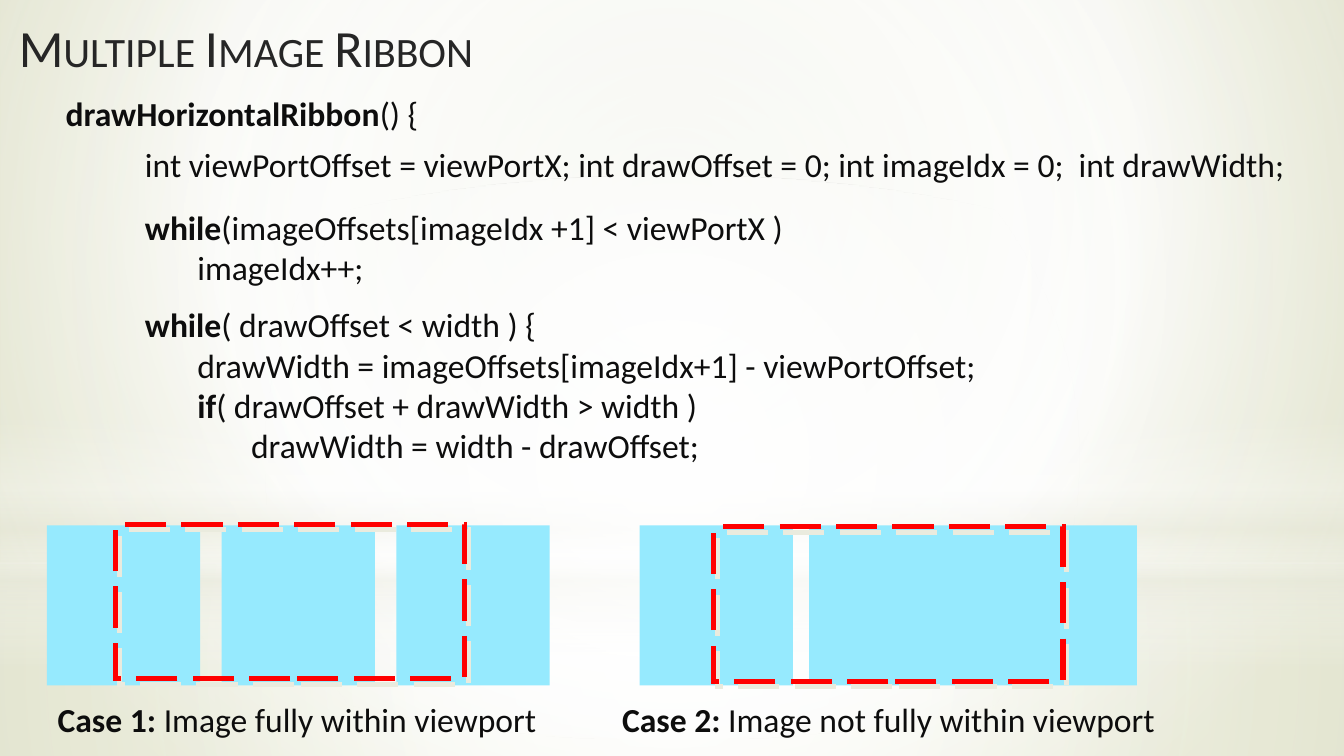
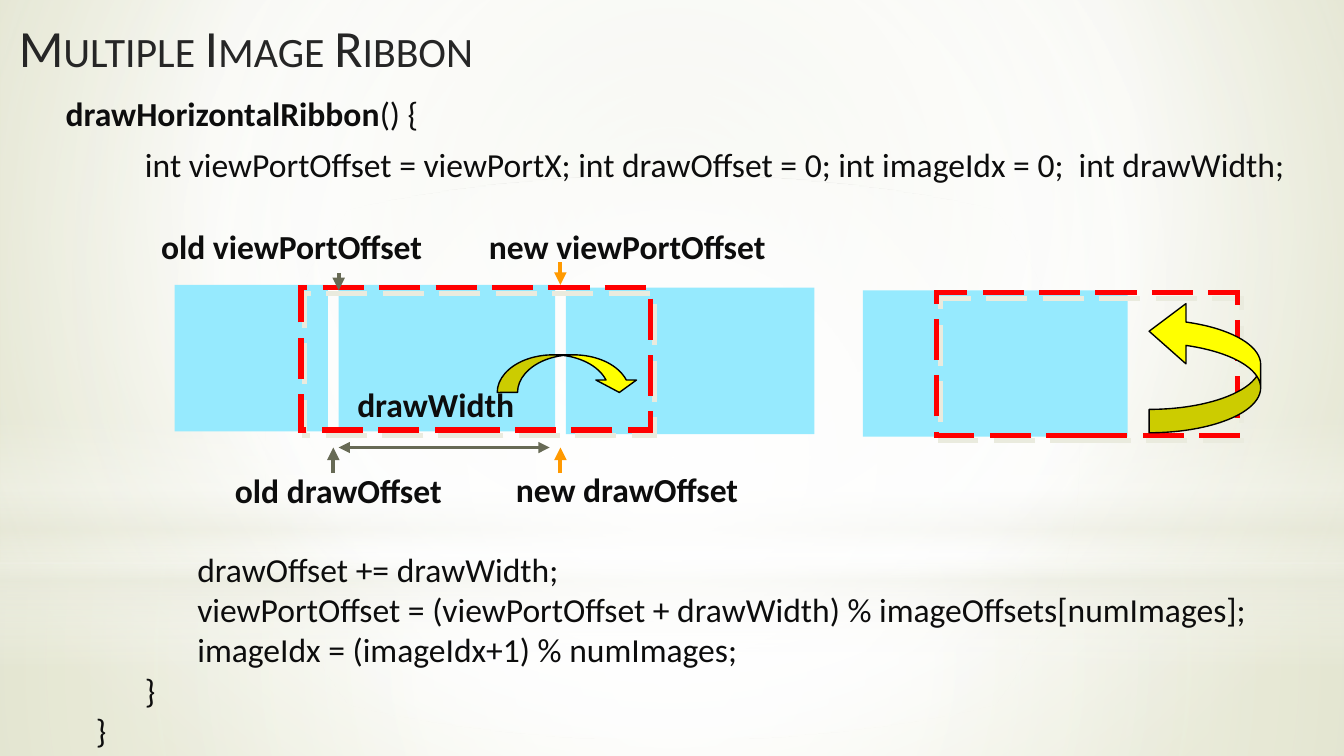
from lxml import etree
from pptx import Presentation
from pptx.dml.color import RGBColor
from pptx.enum import dml, shapes, text
from pptx.oxml import parse_xml
from pptx.oxml.ns import nsdecls, qn
from pptx.util import Inches, Pt

TITLE_INK = RGBColor(0x26, 0x26, 0x26)
INK = RGBColor(0x0D, 0x0D, 0x0D)
IMAGE_BLUE = RGBColor(0x96, 0xEA, 0xFE)
VIEWPORT_RED = RGBColor(0xFF, 0x00, 0x00)
OLD_GREY = RGBColor(0x67, 0x6A, 0x55)
NEW_ORANGE = RGBColor(0xFF, 0x99, 0x00)
YELLOW = RGBColor(0xFF, 0xFF, 0x00)
BLACK = RGBColor(0x00, 0x00, 0x00)
WHITE = RGBColor(0xFF, 0xFF, 0xFF)
PALE = RGBColor(0xEA, 0xEB, 0xDE)
BACK_EDGE = RGBColor(0xE3, 0xE5, 0xD1)
BACK_END = RGBColor(0xCC, 0xD0, 0x9F)

FONT = "Calibri"
CODE_TABS = (0.59, 0.98, 1.38, 1.77)
CENTRE = (50, 50, 50, 50)
TITLE = "Multiple Image Ribbon"
SIGNATURE = [
    ("**drawHorizontalRibbon**() {", 0),
    ("\tint viewPortOffset = viewPortX; int drawOffset = 0; "
     "int imageIdx = 0;  int drawWidth;", 6),
]
SHAPE = shapes.MSO_SHAPE


def set_gradient(properties, stops, focus=None):
    """Replace a solid fill by a gradient: circular around focus, else top to bottom.

    Each stop is (position, colour, opacity), in percent.
    """
    stop_xml = "".join(
        f'<a:gs pos="{position * 1000}"><a:srgbClr val="{colour}">'
        f'<a:alpha val="{opacity * 1000}"/></a:srgbClr></a:gs>'
        for position, colour, opacity in stops)
    if focus:
        sides = " ".join(f'{side}="{value * 1000}"' for side, value in zip("ltrb", focus))
        shade = f'<a:path path="circle"><a:fillToRect {sides}/></a:path>'
    else:
        shade = '<a:lin ang="5400000" scaled="0"/>'
    gradient = parse_xml(f'<a:gradFill {nsdecls("a")} rotWithShape="1">'
                         f'<a:gsLst>{stop_xml}</a:gsLst>{shade}</a:gradFill>')
    properties.replace(properties.find(qn("a:solidFill")), gradient)


def write(paragraph, content, *, size=18, colour=INK, bold=False, before=0,
          tabs=(), small_caps=False):
    """Fill a paragraph; parts between double asterisks are bold."""
    paragraph.alignment = text.PP_ALIGN.LEFT
    paragraph.space_before = Pt(before)
    paragraph.space_after = Pt(0)
    if tabs:
        tab_list = etree.SubElement(paragraph._p.get_or_add_pPr(), qn("a:tabLst"))
        for stop in tabs:
            etree.SubElement(tab_list, qn("a:tab"), pos=str(Inches(stop)), algn="l")
    for index, part in enumerate(content.split("**")):
        if not part:
            continue
        span = paragraph.add_run()
        span.text = part
        span.font.name = FONT
        span.font.size = Pt(size)
        span.font.bold = bold or index % 2 == 1
        span.font.color.rgb = colour
        if small_caps:
            span.font._element.set("cap", "small")


class RibbonDeck:
    def __init__(self):
        self.deck = Presentation()
        self.deck.slide_width = Inches(10)
        self.deck.slide_height = Inches(10) * 9 // 16
        self.layout = self.deck.slide_layouts[5]
        self.page = None

    def new_page(self):
        self.page = self.deck.slides.add_slide(self.layout)
        if len(self.deck.slides) == 1:
            self.backdrop()
        title = self.page.shapes.title
        title.left, title.top = Inches(0.04), Inches(0.06)
        title.width, title.height = Inches(4.25), Inches(0.63)
        frame = title.text_frame
        frame.word_wrap = True
        frame.auto_size = text.MSO_AUTO_SIZE.NONE
        frame.vertical_anchor = text.MSO_ANCHOR.TOP
        write(frame.paragraphs[0], TITLE, size=28, colour=TITLE_INK, small_caps=True)

    def backdrop(self):
        """Give the shared layout its background and its soft light shapes."""
        self.layout.background.fill.solid()
        set_gradient(self.layout.element.find(".//" + qn("p:bgPr")),
                     [(0, BACK_EDGE, 100), (60, WHITE, 100), (100, BACK_END, 100)],
                     (20, 10, 20, 60))
        lights = [
            (SHAPE.RECTANGLE, (0, 4.19, 10, 1.44), CENTRE,
             [(0, WHITE, 91), (37, WHITE, 76), (100, PALE, 79)]),
            (SHAPE.RECTANGLE, (0, 0, 10, 4.19), CENTRE,
             [(0, WHITE, 89), (48, WHITE, 62), (100, PALE, 79)]),
            (SHAPE.RECTANGLE, (0, 3.09, 10, 1.88), None,
             [(0, WHITE, 0), (29, WHITE, 30), (45, PALE, 40),
              (55, WHITE, 26), (65, PALE, 60), (100, WHITE, 0)]),
            (SHAPE.OVAL, (0, 1.31, 10, 4.19), CENTRE,
             [(0, WHITE, 100), (56, WHITE, 0)]),
        ]
        for kind, place, focus, stops in lights:
            light = self.shape(kind, place, fill=WHITE)
            set_gradient(light.element.spPr, stops, focus)
            self.layout.shapes.element.append(light.element)

    def shape(self, kind, place, fill=None, line=None, width=0.75):
        shape = self.page.shapes.add_shape(kind, *map(Inches, place))
        shape.shadow.inherit = False
        if fill is None:
            shape.fill.background()
        else:
            shape.fill.solid()
            shape.fill.fore_color.rgb = fill
        if line is None:
            shape.line.fill.background()
        else:
            shape.line.color.rgb = line
            shape.line.width = Pt(width)
        return shape

    def image(self, left, top, width, height):
        self.shape(SHAPE.RECTANGLE, (left, top, width, height), fill=IMAGE_BLUE)

    def viewport(self, left, top, width, height):
        """Draw a dashed red frame with sharp corners and a hard pale shadow."""
        frame = self.shape(SHAPE.RECTANGLE, (left, top, width, height),
                           line=VIEWPORT_RED, width=2.75)
        frame.line.dash_style = dml.MSO_LINE.LONG_DASH
        etree.SubElement(frame.line._get_or_add_ln(), qn("a:miter"), lim="800000")
        effects = frame.element.spPr.find(qn("a:effectLst"))
        effects.append(parse_xml(
            f'<a:outerShdw {nsdecls("a")} blurRad="0" dist="{Pt(3.6)}" dir="{56 * 60000}" '
            f'algn="ctr" rotWithShape="0"><a:srgbClr val="{PALE}"/></a:outerShdw>'))

    def curved_arrow(self, kind, place, adjustments, rotation=0):
        arrow = self.shape(kind, place, fill=YELLOW, line=BLACK)
        arrow.rotation = rotation
        for index, value in enumerate(adjustments):
            arrow.adjustments[index] = value

    def arrow(self, start, end, colour, width=2.25, both=False):
        connector = self.page.shapes.add_connector(
            shapes.MSO_CONNECTOR.STRAIGHT, *map(Inches, start + end))
        connector.line.color.rgb = colour
        connector.line.width = Pt(width)
        line = connector.line._get_or_add_ln()
        for tag in ("a:headEnd", "a:tailEnd") if both else ("a:tailEnd",):
            etree.SubElement(line, qn(tag), type="triangle")
        etree.SubElement(connector.element.spPr, qn("a:effectLst"))

    def text_box(self, place, lines, anchor=text.MSO_ANCHOR.MIDDLE, **style):
        """Write (content, points before) lines into a wrapping box."""
        box = self.page.shapes.add_textbox(*map(Inches, place))
        frame = box.text_frame
        frame.word_wrap = True
        frame.vertical_anchor = anchor
        for index, (content, before) in enumerate(lines):
            para = frame.add_paragraph() if index else frame.paragraphs[0]
            write(para, content, before=before, **style)

    def label(self, left, top, width, content, **style):
        self.text_box((left, top, width, 0.4), [(content, 0)], **style)

    def code(self, height, lines):
        self.text_box((0.39, 0.64, 9.41, height), SIGNATURE + lines,
                      anchor=text.MSO_ANCHOR.TOP, tabs=CODE_TABS)


def cases_page(deck):
    deck.new_page()
    for index in range(3):
        deck.image(0.35 + 1.3 * index, 3.91, 1.14, 1.19)
    deck.viewport(0.86, 3.9, 2.6, 1.15)
    deck.label(0.33, 5.15, 3.78, "**Case 1: **Image fully within viewport")
    deck.image(4.76, 3.91, 1.14, 1.19)
    deck.image(6.02, 3.91, 2.44, 1.19)
    deck.viewport(5.31, 3.92, 2.6, 1.15)
    deck.label(4.53, 5.15, 4.29, "**Case 2: **Image not fully within viewport")
    deck.code(3.2, [
        ("\t**while**(imageOffsets[imageIdx +1] < viewPortX )", 12),
        ("\t\timageIdx++;", 0),
        ("\t**while**( drawOffset < width ) {", 9),
        ("\t\tdrawWidth = imageOffsets[imageIdx+1] - viewPortOffset;", 0),
        ("\t\t**if**( drawOffset + drawWidth > width )", 0),
        ("\t\t\tdrawWidth = width - drawOffset;", 0),
    ])


def offsets_page(deck):
    deck.new_page()
    deck.code(4.98, [
        ("\t\tdrawOffset += drawWidth;", 195),
        ("\t\tviewPortOffset = (viewPortOffset + drawWidth) % imageOffsets[numImages];", 0),
        ("\t\timageIdx = (imageIdx+1) % numImages;", 0),
        ("\t}", 0),
        ("    }", 0),
    ])
    for left, top, width in ((1.3, 2.12, 1.14), (2.52, 2.12, 1.61),
                             (4.21, 2.14, 1.85), (6.42, 2.16, 1.97)):
        deck.image(left, top, width, 1.09)
    deck.viewport(2.24, 2.14, 2.6, 1.06)
    deck.viewport(6.97, 2.18, 2.24, 1.06)

    deck.arrow((2.48, 3.52), (2.48, 3.33), OLD_GREY)
    deck.arrow((2.52, 2.03), (2.52, 2.16), OLD_GREY)
    deck.arrow((4.17, 3.52), (4.17, 3.33), NEW_ORANGE)
    deck.arrow((4.17, 1.95), (4.17, 2.12), NEW_ORANGE)
    deck.arrow((2.52, 3.33), (4.09, 3.33), OLD_GREY, width=2, both=True)

    for left, top, width, name in ((1.65, 3.45, 1.93, "old drawOffset"),
                                   (2.56, 2.81, 1.38, "drawWidth"),
                                   (3.74, 3.44, 1.93, "new drawOffset"),
                                   (1.1, 1.63, 2.28, "old viewPortOffset"),
                                   (3.54, 1.63, 2.44, "new viewPortOffset")):
        deck.label(left, top, width, name, bold=True)

    deck.curved_arrow(SHAPE.CURVED_DOWN_ARROW, (3.7, 2.64, 1.06, 0.28),
                      (0.54, 1.08, 0.33))
    deck.curved_arrow(SHAPE.CURVED_RIGHT_ARROW, (8.55, 2.24, 0.83, 0.98),
                      (0.21, 0.54, 0.33), rotation=180)


def main():
    ribbon = RibbonDeck()
    cases_page(ribbon)
    offsets_page(ribbon)
    ribbon.deck.save("out.pptx")


if __name__ == "__main__":
    main()
